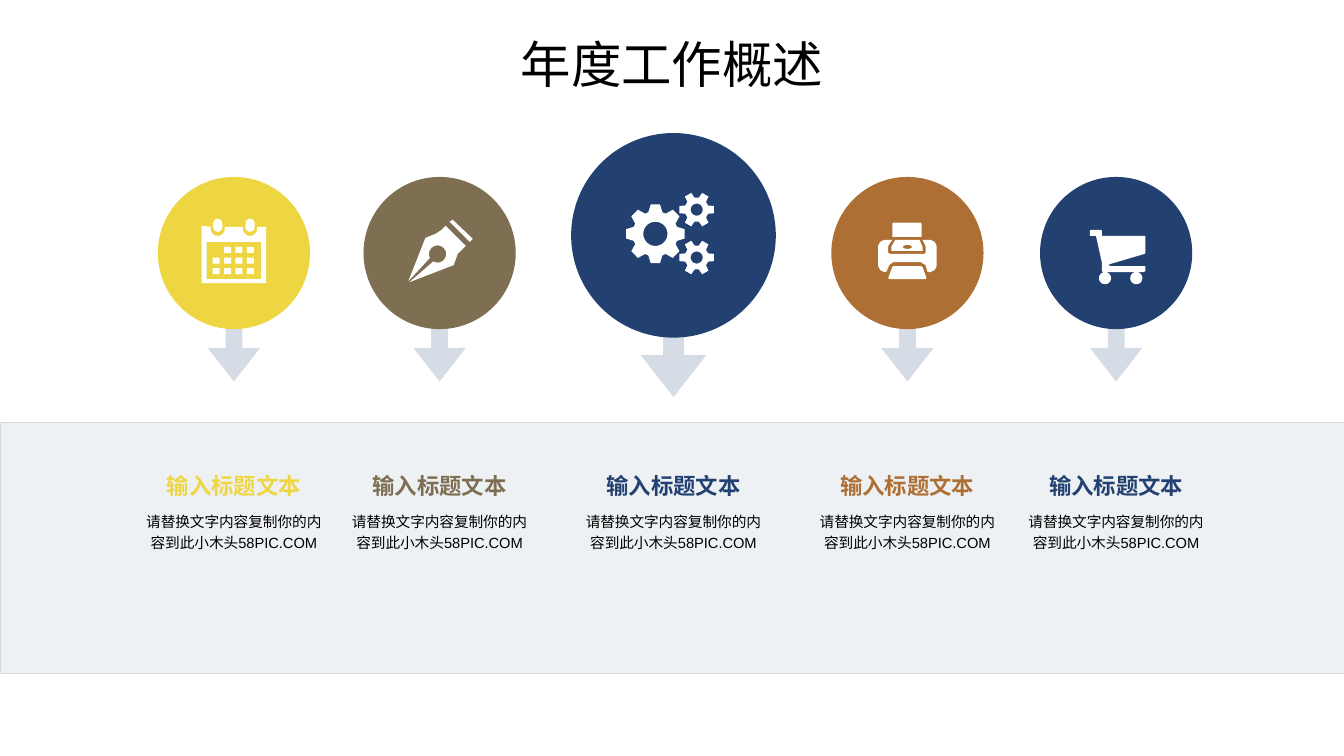
from math import cos, radians, sin

from lxml.etree import SubElement
from pptx import Presentation
from pptx.dml.color import RGBColor
from pptx.enum.shapes import MSO_SHAPE as Kind
from pptx.enum.text import MSO_ANCHOR as Anchor, PP_ALIGN as Align
from pptx.oxml.ns import qn
from pptx.util import Pt

# The grid has one hundred columns and rows to the inch.
UNIT = 9144
WIDE, HIGH = 1333, 750
FINE = 10

WHITE = RGBColor(0xFF, 0xFF, 0xFF)
BLACK = RGBColor(0x00, 0x00, 0x00)
PALE = RGBColor(0xD6, 0xDC, 0xE5)
EDGE = RGBColor(0xD9, 0xD9, 0xD9)
GOLD = RGBColor(0xEE, 0xD6, 0x43)
BROWN = RGBColor(0x7E, 0x6E, 0x52)
NAVY = RGBColor(0x22, 0x41, 0x71)
RUST = RGBColor(0xAD, 0x6F, 0x33)

deck = Presentation()
deck.slide_width, deck.slide_height = WIDE * UNIT, HIGH * UNIT
slide = deck.slides.add_slide(deck.slide_layouts[6])
shapes = slide.shapes


def arc(x, y, rx, ry, start=0, end=360):
    """Points along an ellipse, clockwise, with angles in degrees."""
    turns = [radians(start + (end - start) * i / 36) for i in range(37)]
    return [(x + rx * cos(t), y + ry * sin(t)) for t in turns]


def block(kind, x, y, w, h, color):
    """A plain preset shape centred on x, y."""
    place = [round(v * UNIT) for v in (x - w / 2, y - h / 2, w, h)]
    shape = shapes.add_shape(kind, *place)
    shape.shadow.inherit = False
    shape.fill.solid()
    shape.fill.fore_color.rgb = color
    shape.line.fill.background()
    return shape


# Icon outlines, measured from the centre of their disc
calendar = [
    [(-32, -27), (-23, -26), *arc(-16, -24, 7, 7, 180, 0), (-9, -26),
     (9, -26), *arc(16, -24, 7, 7, 180, 0), (23, -26), (32, -26),
     (32, 30), (-32, 30)],
    [(-27, -11), (27, -11), (27, 26), (-27, 26)],
]
pen = [
    [(18, -15), (6, -27), (2, -23), (-4, -19), (-14, -15), (-31, 28),
     *arc(-2, 1, 8.5, 8.5, 153, 480), (-30, 29), (14, 12), (18, 1),
     (22, -3), (26, -7)],
    [(13, -33), (33, -14), (30, -11), (10, -31)],
]
printer = [
    [(-15, -16), (-15, -29), (-14, -30), (13, -30), (14, -29), (14, -16)],
    [(-15, 14), (-14, 13), (13, 13), (15, 14), (19, 25), (18, 26),
     (-18, 26), (-19, 25)],
    [(-16, -6), (-12, -13), (12, -13), (15, -6), (15, -2), (-16, -2)],
    arc(0, -6, 4.5, 2),
    [(23, -13), (15, -13), (18, -7), (18, 0), (17, 1), (-17, 1), (-19, 0),
     (-19, -7), (-15, -13), (-23, -13), (-27, -11), (-29, -7), (-29, 13),
     (-27, 17), (-23, 19), (-21, 19), (-18, 12), (-14, 9), (13, 9),
     (18, 12), (20, 19), (23, 19), (27, 17), (29, 13), (29, -7), (27, -11)],
]
cart = [
    [(-6, 11), (28, 1), (29, 0), (29, -17), (-14, -17), (-14, -22),
     (-15, -23), (-25, -23), (-26, -22), (-26, -17), (-20, -17), (-14, 10),
     (-14, 18), (-13, 19), (27, 19), (29, 18), (29, 13), (-5, 13), (-8, 12)],
    arc(20, 25, 6, 6),
    arc(-11, 25, 6, 6),
]
gears = []
for x, y, teeth, tip, root, hole, top, foot in [
    (-18, -1.5, 8, 29.5, 22.5, 12, 9, 18),
    (23, -25.5, 6, 17.5, 12, 6, 12, 20),
    (23, 22, 6, 17.5, 12, 6, 12, 20),
]:
    rim = []
    for tooth in range(teeth):
        for r, lean in [(root, -foot), (tip, -top), (tip, top), (root, foot)]:
            turn = radians(360 / teeth * tooth + lean)
            rim.append((x + r * cos(turn), y + r * sin(turn)))
    gears += [rim, arc(x, y, hole, hole)]

# Band behind the captions
band = block(Kind.RECTANGLE, WIDE / 2, 543.5, WIDE, 249, PALE)
tint = band.fill._xPr.find(qn("a:solidFill"))[0]
SubElement(tint, qn("a:alpha"), val="40000")
band.line.color.rgb = EDGE
band.line.width = Pt(0.25)

texts = [("年度工作概述", 666.5, 28, 437, 71, True, Anchor.TOP, 1,
          dict(size=Pt(36), name="Noto Sans CJK JP"), BLACK)]

# Five topics: arrow, disc, icon and caption
for mid, color, icon, size, row in [
    (232, GOLD, calendar, 151, 251),
    (436, BROWN, pen, 151, 251),
    (668, NAVY, gears, 203, 233.5),
    (900, RUST, printer, 151, 251),
    (1107, NAVY, cart, 151, 251),
]:
    long, thick, drop = (87, 65, 350.5) if icon is gears else (70, 52, 343.5)
    arrow = block(Kind.RIGHT_ARROW, mid, drop, long, thick, PALE)
    arrow.rotation = 90
    arrow.adjustments[0], arrow.adjustments[1] = 0.32, 0.64
    block(Kind.OVAL, mid, row, size, size, color)

    pen_path = None
    for loop in icon:
        spots = [((mid + x) * FINE, (row + y) * FINE) for x, y in loop]
        if pen_path is None:
            pen_path = shapes.build_freeform(*spots[0], scale=UNIT / FINE)
        else:
            pen_path.move_to(*spots[0])
        pen_path.add_line_segments(spots[1:], close=True)
    form = pen_path.convert_to_shape()
    form.shadow.inherit = False
    form.fill.solid()
    form.fill.fore_color.rgb = WHITE
    form.line.fill.background()

    if icon is calendar:
        for side in (-16, 16):
            ring = block(Kind.ROUNDED_RECTANGLE, mid + side, row - 27.5,
                         9, 13, WHITE)
            ring.adjustments[0] = 0.5
        for day in range(1, 12):
            line, col = divmod(day, 4)
            block(Kind.RECTANGLE, mid - 17.5 + 11.3 * col,
                  row - 3 + 10.5 * line, 7, 6, WHITE)

    texts += [
        ("输入标题文本", mid, 419, 176, 81, False, Anchor.BOTTOM, 1,
         dict(size=Pt(16), name="Arial", bold=True), color),
        ("请替换文字内容复制你的内容到此小木头58PIC.COM", mid, 500, 197, 169,
         True, Anchor.TOP, 1.2, dict(size=Pt(10.5), name="Arial"), BLACK),
    ]

for words, mid, top, w, h, wrap, anchor, space, style, color in texts:
    place = [round(v * UNIT) for v in (mid - w / 2, top, w, h)]
    frame = shapes.add_textbox(*place).text_frame
    frame.word_wrap, frame.vertical_anchor = wrap, anchor
    para = frame.paragraphs[0]
    para.alignment, para.line_spacing = Align.CENTER, space
    run = para.add_run()
    run.text = words
    for key, value in style.items():
        setattr(run.font, key, value)
    run.font.color.rgb = color

deck.save("out.pptx")
